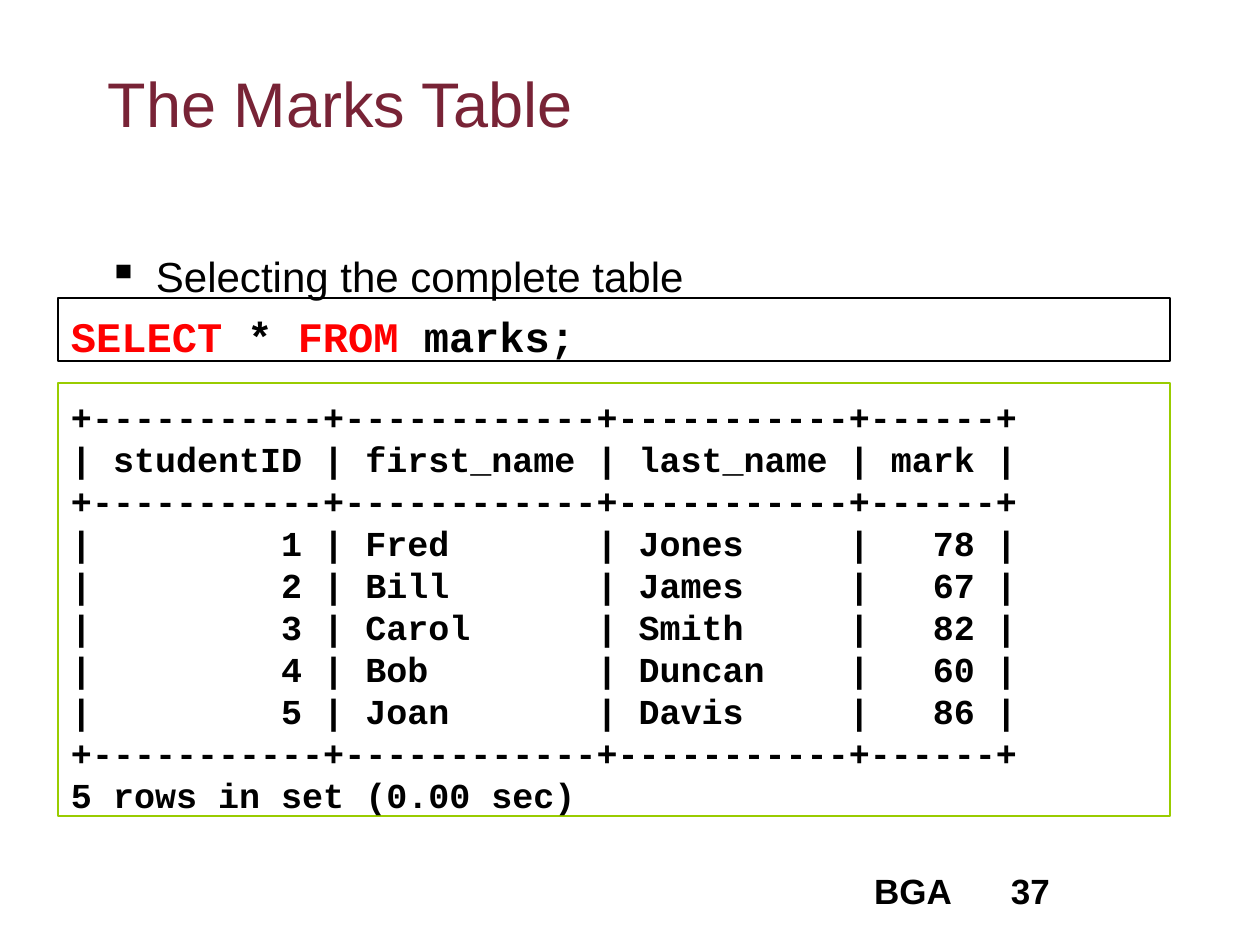
from pptx import Presentation
from pptx.dml.color import RGBColor
from pptx.enum.shapes import MSO_SHAPE
from pptx.enum.text import MSO_ANCHOR, PP_ALIGN
from pptx.oxml.ns import qn
from pptx.util import Emu, Pt
from lxml import etree

RECT = MSO_SHAPE.RECTANGLE
TOP = MSO_ANCHOR.TOP
LEFT = PP_ALIGN.LEFT
SCALE = 914400 / 126
BLACK, RED, PLUM, LIME = "000000", "FF0000", "782336", "99CC00"
SANS, MONO = "Arial", "Courier New"


def px(n):
    return Emu(round(n * SCALE))


def color(code):
    return RGBColor.from_string(code)


class Deck:
    def __init__(self, wide, high):
        self.prs = Presentation()
        self.prs.slide_width, self.prs.slide_height = px(wide), px(high)
        self.slide = self.prs.slides.add_slide(self.prs.slide_layouts[6])

    def fill(self, shape, lines, size, font, bold, top):
        frame = shape.text_frame
        frame.word_wrap = True
        frame.vertical_anchor = TOP
        frame.margin_left = frame.margin_right = px(13)
        frame.margin_top, frame.margin_bottom = px(top), 0
        para = frame.paragraphs[0]
        para.alignment = LEFT
        for i, runs in enumerate(lines):
            if i:
                para.add_line_break()
            for text, tone in runs:
                run = para.add_run()
                run.text = text
                run.font.size, run.font.name = Pt(size), font
                run.font.bold = bold
                run.font.color.rgb = color(tone)
        return para

    def text(self, box, words, size, tone=BLACK, bold=False, top=9):
        shape = self.slide.shapes.add_textbox(*map(px, box))
        return self.fill(shape, [[(words, tone)]], size, SANS, bold, top)

    def bullet(self, box, words, size, indent):
        props = self.text(box, words, size)._p.get_or_add_pPr()
        props.set("marL", str(px(indent)))
        props.set("indent", str(-px(indent)))
        etree.SubElement(props, qn("a:buChar")).set("char", "▪")

    def code(self, box, lines, size, edge, top):
        shape = self.slide.shapes.add_shape(RECT, *map(px, box))
        shape.shadow.inherit = False
        shape.fill.background()
        shape.line.color.rgb = color(edge)
        shape.line.width = Pt(0.75)
        para = self.fill(shape, lines, size, MONO, True, top)
        para.line_spacing = Pt(size * 1.2)


def grid(head, rows):
    wide = [11, 12, 11, 6]
    rule = "+" + "+".join("-" * w for w in wide) + "+"

    def line(cells):
        parts = [f" {c:>{w - 2}} " if isinstance(c, int) else f" {c:<{w - 2}} "
                 for c, w in zip(cells, wide)]
        return "|" + "|".join(parts) + "|"

    return [rule, line(head), rule, *map(line, rows), rule]


def main():
    deck = Deck(1260, 945)
    deck.text((95, 53, 1071, 158), "The Marks Table", 36, PLUM, top=12)
    deck.bullet((95, 242, 1071, 567), "Selecting the complete table", 24, 48)
    for left, words in ((861, "BGA"), (998, "37")):
        deck.text((left, 861, 1260 - left, 63), words, 20, bold=True)

    query = [("SELECT", RED), (" * ", BLACK), ("FROM", RED), (" marks;", BLACK)]
    deck.code((58, 298, 1112, 63), [query], 24, BLACK, 13)

    head = ["studentID", "first_name", "last_name", "mark"]
    marks = [
        (1, "Fred", "Jones", 78),
        (2, "Bill", "James", 67),
        (3, "Carol", "Smith", 82),
        (4, "Bob", "Duncan", 60),
        (5, "Joan", "Davis", 86),
    ]
    lines = grid(head, marks) + ["5 rows in set (0.00 sec)"]
    deck.code((58, 383, 1112, 433), [[(t, BLACK)] for t in lines], 20, LIME, 12)
    deck.prs.save("out.pptx")


if __name__ == "__main__":
    main()
